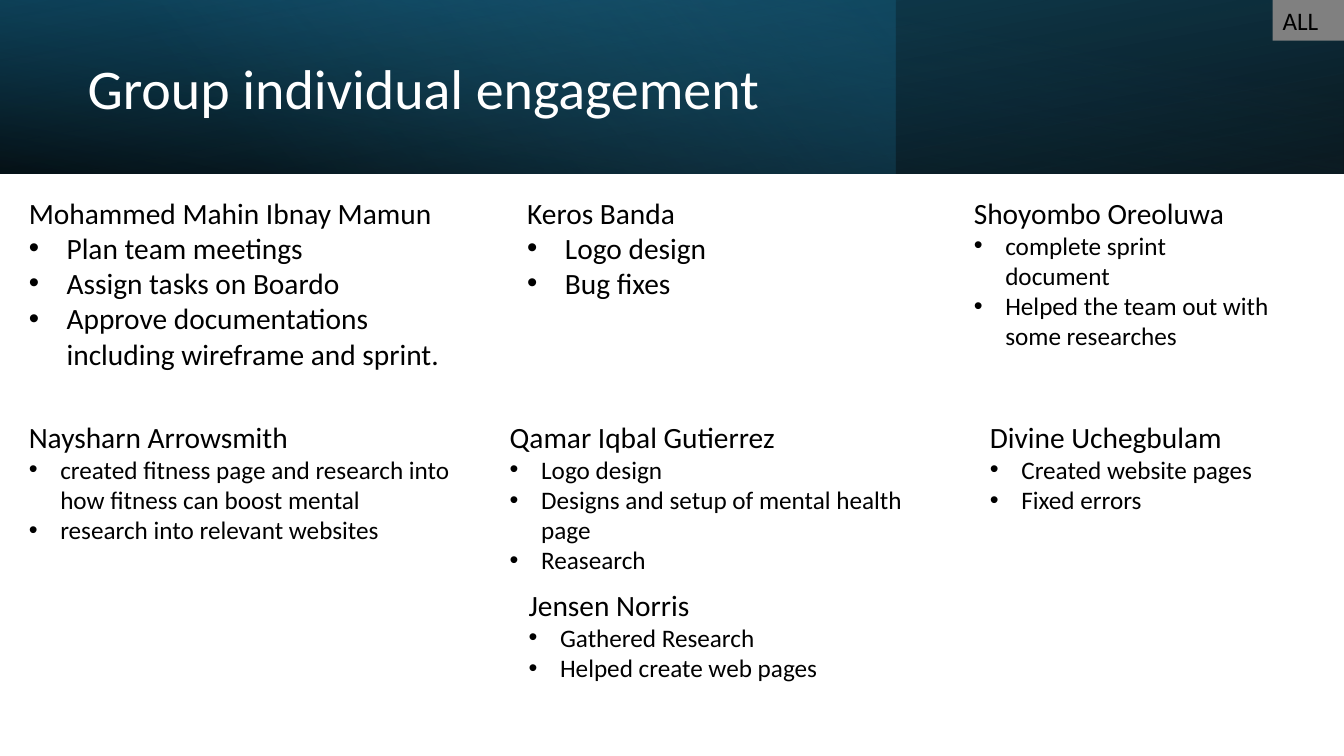
from pptx import Presentation
from pptx.dml.color import RGBColor
from pptx.enum.shapes import MSO_SHAPE as Shape
from pptx.enum.text import MSO_ANCHOR as Anchor
from pptx.oxml import parse_xml
from pptx.oxml.ns import nsdecls, qn
from pptx.util import Pt

WIDE, HIGH = 960, 540
BAND = 124
BLACK, WHITE = "000000", "FFFFFF"


def color(hex):
    return RGBColor.from_string(hex)


def style(para, size, hex):
    para.font.name = "Calibri"
    para.font.size = Pt(size)
    para.font.color.rgb = color(hex)


def block(slide, x, y, w, h):
    rect = slide.shapes.add_shape(Shape.RECTANGLE, Pt(x), Pt(y), Pt(w), Pt(h))
    rect.shadow.inherit = False
    rect.line.fill.background()
    return rect


def text(slide, x, y, w, h):
    frame = slide.shapes.add_textbox(Pt(x), Pt(y), Pt(w), Pt(h)).text_frame
    frame.word_wrap = True
    return frame


def shade(rect, angle, stops):
    """Fill with a gradient of (position, colour, opacity) stops."""
    marks = "".join(
        f'<a:gs pos="{pos * 1000}"><a:srgbClr val="{hex}">'
        f'<a:alpha val="{alpha * 1000}"/></a:srgbClr></a:gs>'
        for pos, hex, alpha in stops)
    grad = parse_xml(
        f'<a:gradFill {nsdecls("a")} rotWithShape="1"><a:gsLst>{marks}</a:gsLst>'
        f'<a:lin ang="{angle * 60000}" scaled="0"/></a:gradFill>')
    rect.fill.background()
    props = rect._element.spPr
    props.replace(props.find(qn("a:noFill")), grad)


def flip(rect):
    rect._element.spPr.find(qn("a:xfrm")).set("flipH", "1")


def header(slide, x, y, w, h):
    # Layered gradients
    base = block(slide, x, y, w, h)
    base.rotation = 180
    flip(base)
    shade(base, 100, [(0, BLACK, 96), (100, "104862", 100)])
    glow = block(slide, x, y, w * 2 / 3, h)
    shade(glow, 140, [(0, "156082", 41), (74, "46B1E1", 0)])
    veil = block(slide, x, y, w, h)
    flip(veil)
    shade(veil, 260, [(0, BLACK, 63), (78, "156082", 15)])

    # Title
    frame = text(slide, x + 55.5, y + 19.5, 556, 91.5)
    frame.vertical_anchor = Anchor.MIDDLE
    para = frame.paragraphs[0]
    para.text = "Group individual engagement"
    para.line_spacing = 0.9
    style(para, 40, WHITE)


def bullet(para, indent):
    props = para._p.get_or_add_pPr()
    props.set("marL", str(Pt(indent)))
    props.set("indent", str(-Pt(indent)))
    props.append(parse_xml(f'<a:buFont {nsdecls("a")} typeface="Arial"/>'))
    props.append(parse_xml(f'<a:buChar {nsdecls("a")} char="•"/>'))


def member(slide, x, y, w, h, size, name, tasks):
    frame = text(slide, x, y, w, h)
    head = frame.paragraphs[0]
    head.text = name
    style(head, 21, BLACK)
    for task in tasks:
        para = frame.add_paragraph()
        para.text = task
        bullet(para, 27 if size == 21 else 22.5)
        style(para, size, BLACK)


def tag(slide, x, y, w, h):
    rect = block(slide, x, y, w, h)
    rect.fill.solid()
    rect.fill.fore_color.rgb = color("808080")
    frame = rect.text_frame
    frame.vertical_anchor = Anchor.TOP
    para = frame.paragraphs[0]
    para.text = "ALL"
    para.alignment = 1
    style(para, 18, BLACK)


ROW1, ROW2, ROW3 = 135.5, 295.5, 415.5
TEAM = [
    (13.5, ROW1, 329, 134.5, 21, "Mohammed Mahin Ibnay Mamun",
     ["Plan team meetings", "Assign tasks on Boardo",
      "Approve documentations including wireframe and sprint."]),
    (688.5, ROW1, 229.5, 120, 18, "Shoyombo Oreoluwa",
     ["complete sprint document", "Helped the team out with some researches"]),
    (369.5, ROW1, 319, 83.5, 21, "Keros Banda", ["Logo design", "Bug fixes"]),
    (13.5, ROW2, 319, 120, 18, "Naysharn Arrowsmith",
     ["created fitness page and research into how fitness can boost mental",
      "research into relevant websites"]),
    (357, ROW2, 319, 120, 18, "Qamar Iqbal Gutierrez",
     ["Logo design", "Designs and setup of mental health page", "Reasearch"]),
    (370.5, ROW3, 319, 76.5, 18, "Jensen Norris",
     ["Gathered Research", "Helped create web pages"]),
    (700, ROW2, 260, 76.5, 18, "Divine Uchegbulam",
     ["Created website pages", "Fixed errors"]),
]


def main():
    deck = Presentation()
    deck.slide_width, deck.slide_height = Pt(WIDE), Pt(HIGH)
    slide = deck.slides.add_slide(deck.slide_layouts[6])
    header(slide, 0, 0, WIDE, BAND)
    for entry in TEAM:
        member(slide, *entry)
    tag(slide, WIDE - 51, 0, 51, 29)
    deck.save("out.pptx")


if __name__ == "__main__":
    main()
